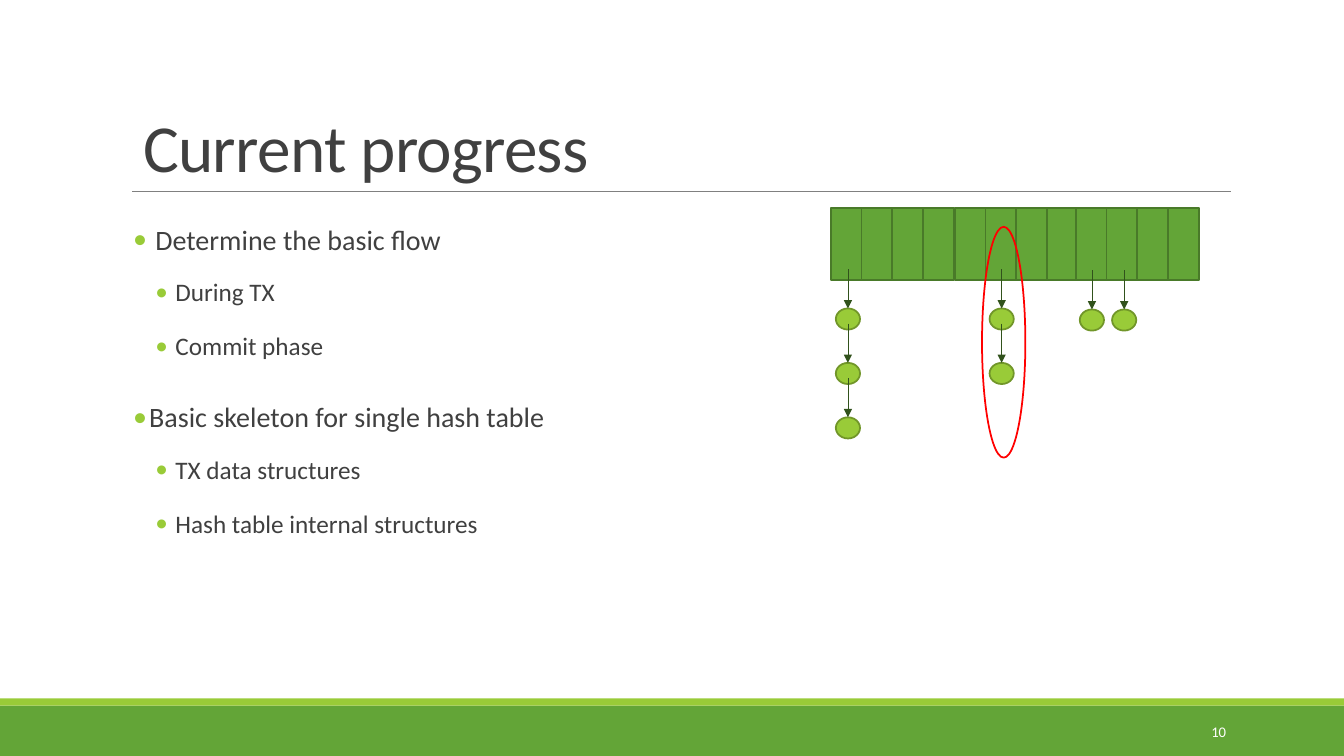
from dataclasses import dataclass

import pptx
import pptx.dml.color
import pptx.enum.shapes
import pptx.enum.text
import pptx.oxml.ns
import pptx.util
from lxml import etree

Inches = pptx.util.Inches
Pt = pptx.util.Pt
SHAPES = pptx.enum.shapes.MSO_SHAPE
ANCHOR = pptx.enum.text.MSO_ANCHOR
ALIGN = pptx.enum.text.PP_ALIGN
qualified = pptx.oxml.ns.qn


@dataclass(frozen=True)
class Theme:
    font: str = "Calibri"
    text: str = "404040"
    white: str = "FFFFFF"
    green: str = "63A537"
    green_edge: str = "497A29"
    lime: str = "99CB38"
    lime_edge: str = "719629"
    arrow: str = "31521C"
    rule: str = "808080"
    highlight: str = "FF0000"
    title_size: float = 48
    topic_size: float = 20
    detail_size: float = 18
    number_size: float = 10.5
    outline: float = 1.25
    hairline: float = 0.5


@dataclass(frozen=True)
class Box:
    left: float
    top: float
    width: float
    height: float

    def inches(self):
        return [Inches(v) for v in (self.left, self.top, self.width, self.height)]


THEME = Theme()
BUCKET_WIDTH, BUCKET_HEIGHT = 0.31, 0.72
BUCKET_PITCH, BUCKETS_PER_GROUP = 0.305, 4
GROUP_STARTS = (0, 1.23, 2.43)
NODE_WIDTH, NODE_HEIGHT, NODE_PITCH = 0.24, 0.21, 0.54
ARROW_LENGTH = 0.39
CHAINS = ((0.17, 1.0, 3), (2.91, 1.01, 1), (2.59, 1.01, 1), (1.695, 1.0, 2))
OUTLINE = (
    ("Determine the basic flow", 0.22, ("During TX", "Commit phase")),
    ("Basic skeleton for single hash table", 0.16,
     ("TX data structures", "Hash table internal structures")),
)


def set_attributes(target, values):
    for name, value in values.items():
        setattr(target, name, value)


def rgb(color):
    return pptx.dml.color.RGBColor.from_string(color)


def add_figure(slide, kind, box, fill=None, edge=None):
    shape = slide.shapes.add_shape(kind, *box.inches())
    shape.shadow.inherit = False
    if fill:
        shape.fill.solid()
        shape.fill.fore_color.rgb = rgb(fill)
    else:
        shape.fill.background()
    if edge:
        shape.line.color.rgb = rgb(edge)
        shape.line.width = Pt(THEME.outline)
    else:
        shape.line.fill.background()


def add_line(slide, start, end, color, arrow=False):
    line = slide.shapes.add_connector(
        pptx.enum.shapes.MSO_CONNECTOR.STRAIGHT,
        *[Inches(v) for v in (*start, *end)])
    line.line.color.rgb = rgb(color)
    line.line.width = Pt(THEME.hairline)
    properties = line.line._get_or_add_ln()
    if arrow:
        etree.SubElement(properties, qualified("a:tailEnd"), type="triangle")
    etree.SubElement(properties.getparent(), qualified("a:effectLst"))


def add_run(paragraph, text, size, color):
    run = paragraph.add_run()
    run.text = text
    set_attributes(run.font, {"name": THEME.font, "size": Pt(size)})
    run.font.color.rgb = rgb(color)
    return run


def format_frame(frame, anchor, side=0.1):
    set_attributes(frame, {
        "word_wrap": True,
        "auto_size": pptx.enum.text.MSO_AUTO_SIZE.NONE,
        "vertical_anchor": anchor,
        "margin_left": Inches(side), "margin_right": Inches(side),
        "margin_top": Inches(0.05), "margin_bottom": Inches(0.05),
    })


def add_bullet(paragraph, margin, hanging):
    properties = paragraph._p.get_or_add_pPr()
    properties.set("marL", str(Inches(margin)))
    properties.set("indent", str(-Inches(hanging)))
    color = etree.SubElement(properties, qualified("a:buClr"))
    etree.SubElement(color, qualified("a:srgbClr"), val=THEME.lime)
    etree.SubElement(properties, qualified("a:buFont"), typeface=THEME.font)
    etree.SubElement(properties, qualified("a:buChar"), char="•")


def fill_title(slide, box, text):
    title = slide.shapes.title
    set_attributes(title, dict(zip(("left", "top", "width", "height"), box.inches())))
    format_frame(title.text_frame, ANCHOR.BOTTOM)
    paragraph = title.text_frame.paragraphs[0]
    set_attributes(paragraph, {"alignment": ALIGN.LEFT, "line_spacing": 0.85})
    run = add_run(paragraph, text, THEME.title_size, THEME.text)
    run.font._element.set("spc", "-50")
    bottom = box.top + box.height
    add_line(slide, (box.left - 0.01, bottom), (box.left + 10.89, bottom), THEME.rule)


def add_outline(slide, box):
    frame = slide.shapes.add_textbox(*box.inches()).text_frame
    format_frame(frame, ANCHOR.TOP, side=0)
    rows = []
    for topic, indent, details in OUTLINE:
        rows.append((topic, 0, indent, indent, THEME.topic_size, 12, 2))
        rows += [(detail, 1, 0.42, 0.2, THEME.detail_size, 2, 4) for detail in details]
    for index, (text, level, margin, hanging, size, before, after) in enumerate(rows):
        paragraph = frame.add_paragraph() if index else frame.paragraphs[0]
        set_attributes(paragraph, {
            "level": level, "line_spacing": 1.5, "alignment": ALIGN.LEFT,
            "space_before": Pt(before), "space_after": Pt(after),
        })
        add_bullet(paragraph, margin, hanging)
        add_run(paragraph, text, size, THEME.text)


def add_chain(slide, center, top, count):
    for index in range(count):
        node_top = top + index * NODE_PITCH
        node = Box(center - NODE_WIDTH / 2, node_top, NODE_WIDTH, NODE_HEIGHT)
        add_figure(slide, SHAPES.OVAL, node, THEME.lime, THEME.lime_edge)
        add_line(slide, (center, node_top - ARROW_LENGTH), (center, node_top),
                 THEME.arrow, arrow=True)


def add_hash_table(slide, box):
    for start in GROUP_STARTS:
        for index in range(BUCKETS_PER_GROUP):
            left = box.left + start + index * BUCKET_PITCH
            bucket = Box(left, box.top, BUCKET_WIDTH, BUCKET_HEIGHT)
            add_figure(slide, SHAPES.RECTANGLE, bucket, THEME.green, THEME.green_edge)
    for center, top, count in CHAINS:
        add_chain(slide, box.left + center, box.top + top, count)
    marker = Box(box.left + 1.5, box.top + 0.19, 0.43, box.height - 0.19)
    add_figure(slide, SHAPES.OVAL, marker, edge=THEME.highlight)


def add_footer(slide, box, number):
    stripe = 0.07
    add_figure(slide, SHAPES.RECTANGLE,
               Box(box.left, box.top + stripe, box.width, box.height - stripe), THEME.green)
    add_figure(slide, SHAPES.RECTANGLE,
               Box(box.left, box.top, box.width, stripe), THEME.lime)
    number_box = Box(box.left + 10.83, box.top + 0.13, 1.43, 0.4)
    frame = slide.shapes.add_textbox(*number_box.inches()).text_frame
    format_frame(frame, ANCHOR.MIDDLE)
    frame.paragraphs[0].alignment = ALIGN.RIGHT
    add_run(frame.paragraphs[0], number, THEME.number_size, THEME.white)


def main():
    presentation = pptx.Presentation()
    set_attributes(presentation, {
        "slide_width": Inches(13.33), "slide_height": Inches(7.5)})
    slide = presentation.slides.add_slide(presentation.slide_layouts[5])
    add_footer(slide, Box(0, 6.93, 13.33, 0.57), "10")
    fill_title(slide, Box(1.32, 0.31, 11, 1.59), "Current progress")
    add_outline(slide, Box(1.32, 1.99, 5.28, 3.42))
    add_hash_table(slide, Box(8.24, 2.06, 3.66, 2.48))
    presentation.save("out.pptx")


main()
